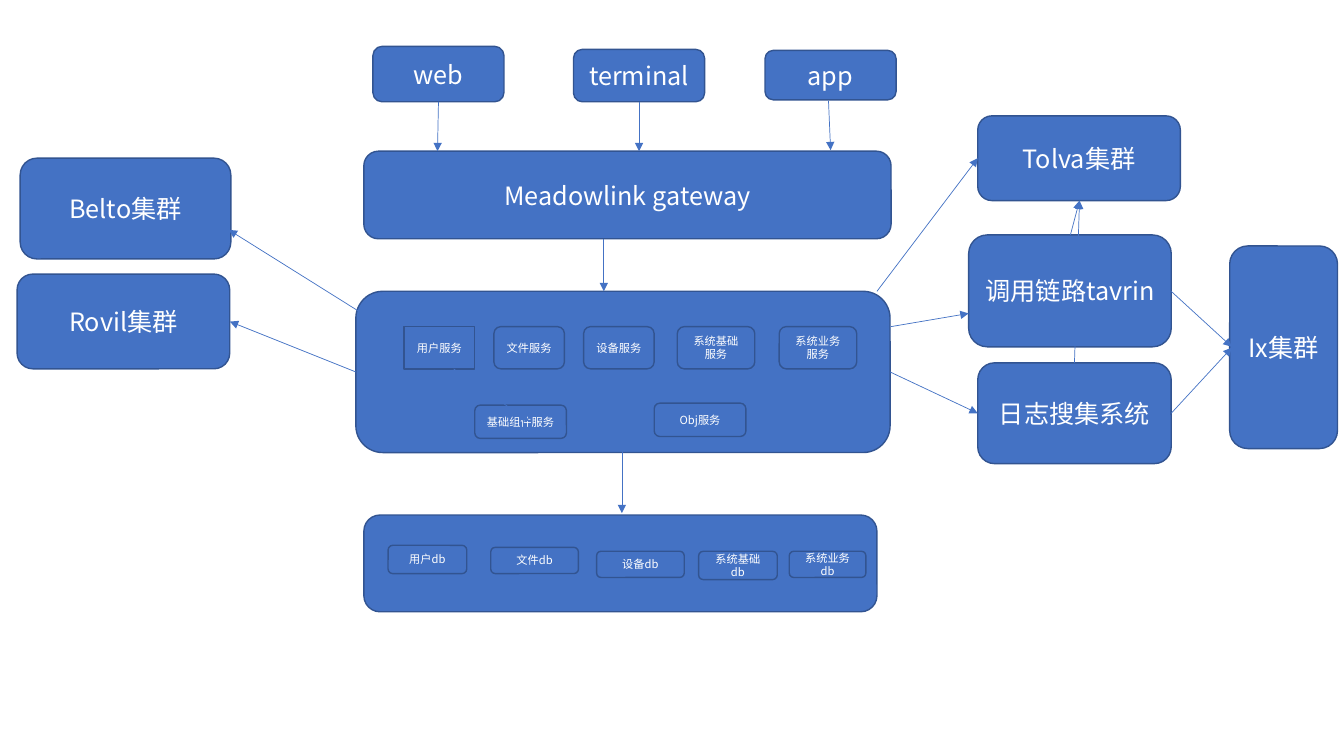
from lxml.etree import SubElement
from pptx import Presentation
from pptx.dml.color import RGBColor
from pptx.enum.shapes import MSO_CONNECTOR, MSO_SHAPE
from pptx.enum.text import MSO_ANCHOR, PP_ALIGN
from pptx.oxml.ns import qn
from pptx.util import Pt

FONT = "Noto Sans CJK SC"
BLUE, EDGE, WHITE = "4472C4", "325491", "FFFFFF"
FRAME = {"word_wrap": True, "vertical_anchor": MSO_ANCHOR.MIDDLE}

# Each box: text, left, top, width, height
CLIENTS = [
    ("web", 266.4, 33.1, 93.6, 39.6),
    ("terminal", 409.7, 35.3, 93.6, 37.4),
    ("app", 546.5, 36, 93.6, 35.3),
]
PANELS = [
    ("Meadowlink gateway", 259.9, 108, 376.6, 62.6),
    ("", 254.2, 208.1, 381.6, 115.2),
    ("", 259.9, 367.9, 366.5, 69.1),
]
CLUSTERS = [
    ("Belto集群", 14.4, 113, 150.5, 72),
    ("Rovil集群", 12.2, 195.8, 151.9, 67.7),
    ("Tolva集群", 698.4, 82.8, 144.7, 60.5),
    ("调用链路tavrin", 691.9, 167.8, 144.7, 79.9),
    ("日志搜集系统", 698.4, 259.2, 138.2, 72),
    ("Ix集群", 878.4, 175.7, 77, 144.7),
]
SERVICES = [
    ("文件服务", 352.8, 233.3, 50.4, 30.2),
    ("设备服务", 416.9, 233.3, 50.4, 30.2),
    ("系统基础服务", 483.8, 233.3, 55.4, 30.2),
    ("系统业务服务", 556.6, 233.3, 55.4, 30.2),
    ("基础组件服务", 339.1, 289.4, 65.5, 23.8),
    ("Obj服务", 467.3, 288, 65.5, 23.8),
]
DATABASES = [
    ("用户db", 277.2, 389.5, 56.2, 20.2),
    ("文件db", 350.6, 391, 62.6, 18.7),
    ("设备db", 426.2, 393.8, 62.6, 18.7),
    ("系统基础db", 499, 393.8, 56.2, 20.2),
    ("系统业务db", 563.8, 393.8, 54.7, 18.7),
]
# Each arrow: start x, start y, end x, end y
ARROWS = [
    # Clients to gateway, services and databases
    (313.2, 72.7, 312.5, 108),
    (456.5, 72.7, 456.5, 108),
    (591.8, 72, 593.3, 107.3),
    (431.3, 170.6, 431.3, 208.1),
    (324, 263.5, 378, 301),
    (444.2, 288, 444.2, 366.5),
    # Services to clusters
    (259.9, 224.6, 163.4, 164.2),
    (254.2, 265.7, 164.2, 229.7),
    (626.4, 208.1, 698.4, 113),
    (636.5, 233.3, 691.9, 223.9),
    (635.8, 265.7, 698.4, 295.2),
    # Tracing and logging to the clusters on the right
    (764.6, 167.8, 771.1, 143.3),
    (767.5, 259.2, 771.1, 143.3),
    (836.6, 208.1, 879.8, 247.7),
    (836.6, 295.2, 879.8, 248.4),
]


def color(value):
    return RGBColor.from_string(value)


def add_box(s, text, x, y, w, h, size=18, kind=MSO_SHAPE.ROUNDED_RECTANGLE):
    sp = s.shapes.add_shape(kind, Pt(x), Pt(y), Pt(w), Pt(h))
    sp.shadow.inherit = False
    sp.fill.solid()
    sp.fill.fore_color.rgb = color(BLUE)
    sp.line.color.rgb = color(EDGE)
    sp.line.width = Pt(1)
    if not text:
        return
    tf = sp.text_frame
    for name, value in FRAME.items():
        setattr(tf, name, value)
    p = tf.paragraphs[0]
    p.alignment = PP_ALIGN.CENTER
    r = p.add_run()
    r.text = text
    for name, value in {"name": FONT, "size": Pt(size)}.items():
        setattr(r.font, name, value)
    r.font.color.rgb = color(WHITE)
    SubElement(r.font._element, qn("a:ea"), typeface=FONT)


def add_arrow(s, x1, y1, x2, y2):
    c = s.shapes.add_connector(MSO_CONNECTOR.STRAIGHT, Pt(x1), Pt(y1), Pt(x2), Pt(y2))
    c.line.color.rgb = color(BLUE)
    c.line.width = Pt(0.5)
    SubElement(c.line._get_or_add_ln(), qn("a:tailEnd"), type="triangle")
    SubElement(c._element.spPr, qn("a:effectLst"))


def main():
    prs = Presentation()
    prs.slide_width, prs.slide_height = Pt(960), Pt(540)
    s = prs.slides.add_slide(prs.slide_layouts[6])

    # Large boxes, then the small ones inside the panels
    for box in CLIENTS + PANELS + CLUSTERS:
        add_box(s, *box)
    add_box(s, "用户服务", 288.7, 233.3, 50.4, 30.2, 8, MSO_SHAPE.RECTANGLE)
    for box in SERVICES + DATABASES:
        add_box(s, *box, size=8)

    # Call flow
    for arrow in ARROWS:
        add_arrow(s, *arrow)

    prs.save("out.pptx")


if __name__ == "__main__":
    main()
